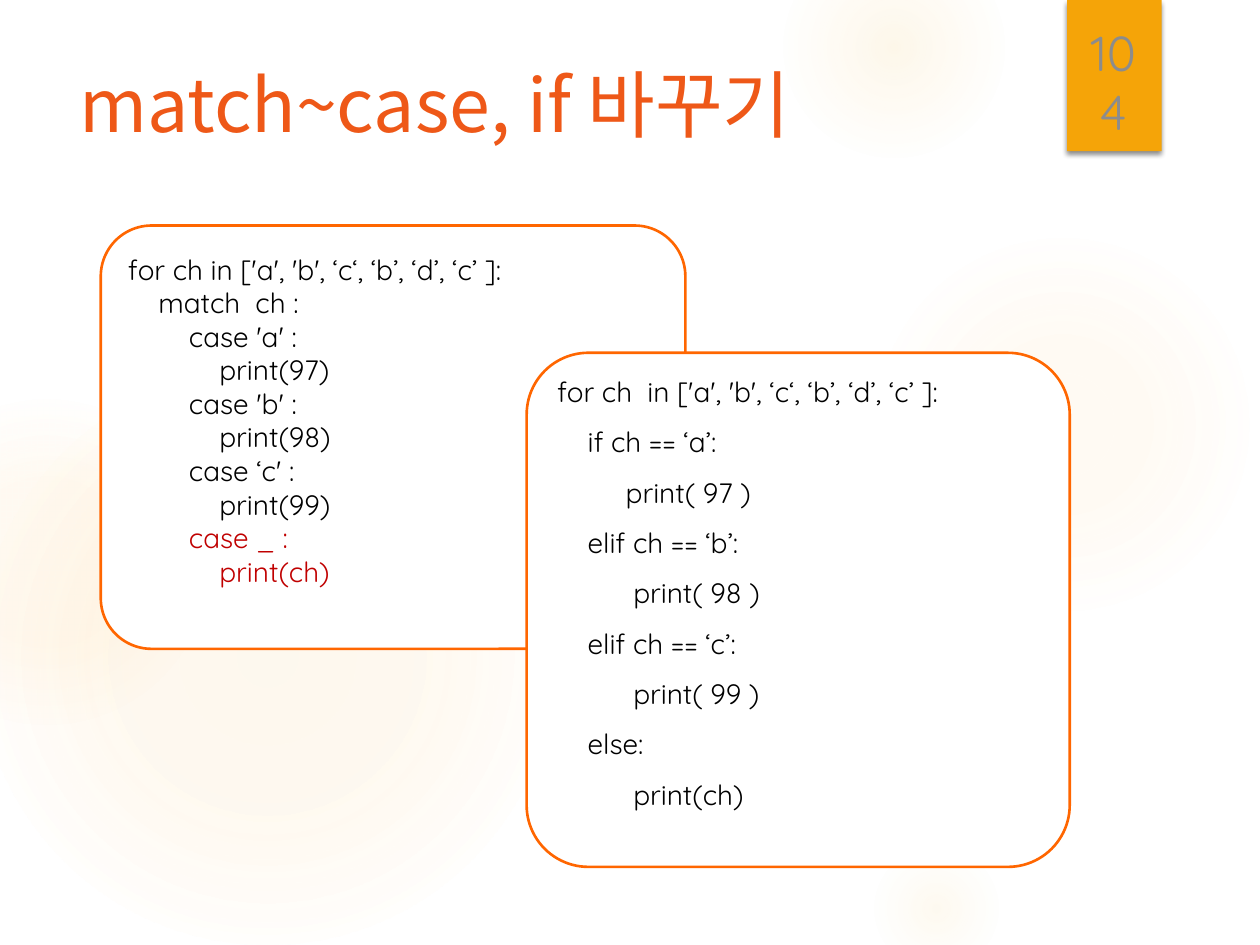
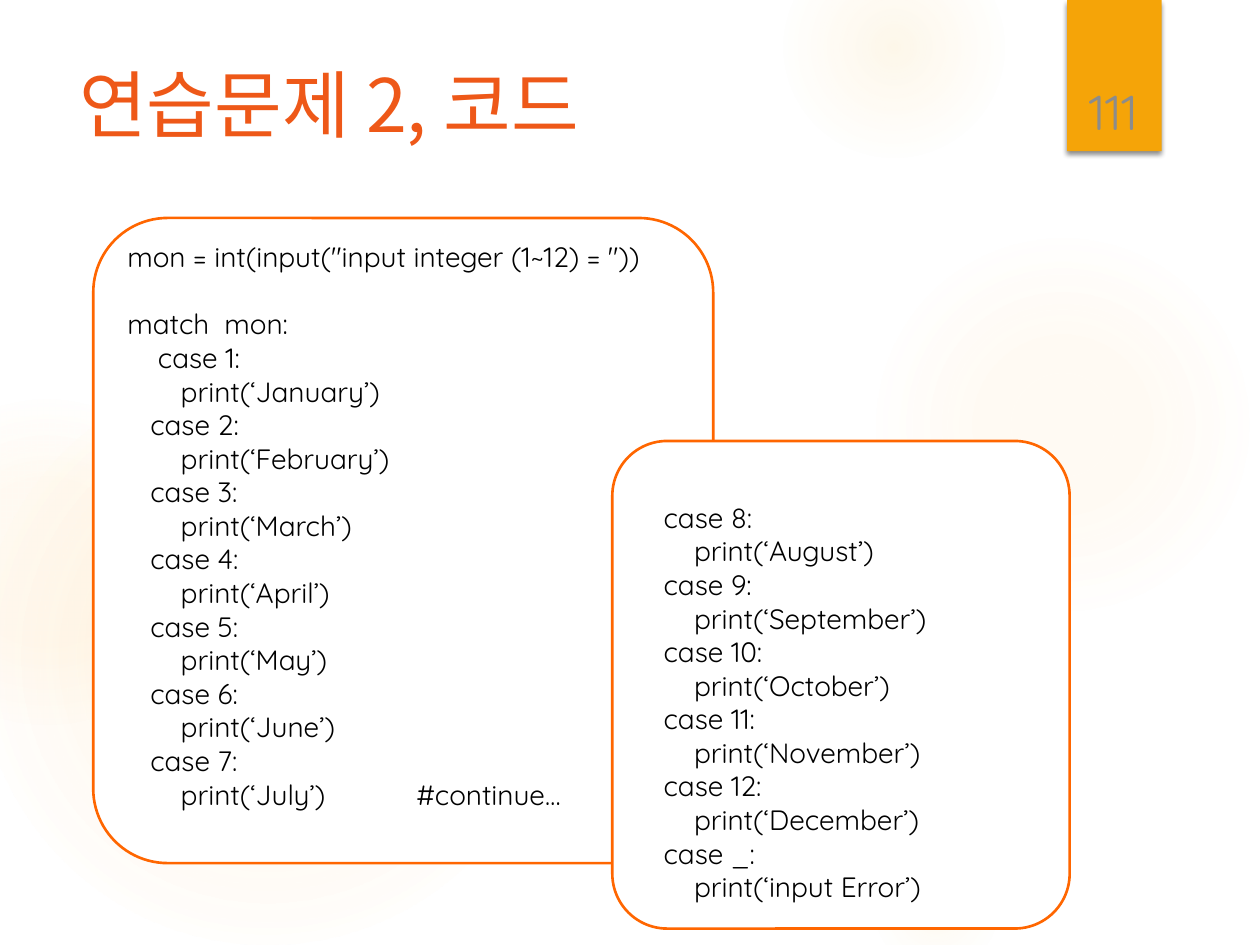
from collections import namedtuple

from lxml import etree
from pptx import Presentation
from pptx.dml.color import RGBColor
from pptx.enum.shapes import MSO_SHAPE
from pptx.enum.text import MSO_ANCHOR, PP_ALIGN
from pptx.oxml.ns import qn
from pptx.util import Inches, Pt

OVAL, RECT, ROUNDED = MSO_SHAPE.OVAL, MSO_SHAPE.RECTANGLE, MSO_SHAPE.ROUNDED_RECTANGLE
TOP, BOTTOM = MSO_ANCHOR.TOP, MSO_ANCHOR.BOTTOM
LEFT, CENTER = PP_ALIGN.LEFT, PP_ALIGN.CENTER

COLORS = {
    "paper": "FFFFFF", "glow": "FAC96A", "band": "F5A408", "title": "EE5818",
    "outline": "FF6600", "code": "000000", "accent": "C00000",
    "number": "8C8C8C", "shadow": "000000",
}
TITLE_FONT, CODE_FONT = "Noto Sans CJK KR", "Quicksand"
CODE_SIZE = 16
CODE_LINE = 19.2  # height of one code line in points

# The slide is a grid of 10 columns and 7.5 rows
WIDTH, HEIGHT = Inches(10), Inches(7.5)
COLUMN, ROW = WIDTH / 10, HEIGHT / 7.5
INSET = 0.1
CORNER = 0.12
CORNER_INSET = 0.29  # share of the corner radius kept free of text

Box = namedtuple("Box", "left top width height")

TITLE_BOX = Box(0.53, 0.5, 7.72, 1.53)
BAND_BOX = Box(8.47, 0, 0.75, 1.2)

# Each glow: left, top, diameter, then (position %, opacity %) stops
GLOWS = [
    (6.89, 1.83, 3.08, [(0, 7), (36, 6), (69, 0)]),
    (6.22, -0.5, 1.75, [(0, 14), (36, 7), (73, 0)]),
    (6.89, 6.67, 1.08, [(0, 10), (31, 5), (66, 0)]),
    (-0.17, 2.92, 4.58, [(0, 11), (36, 10), (75, 0)]),
    (-0.92, 3.17, 2.58, [(0, 8), (36, 8), (72, 0)]),
]

MATCH_CODE = """for ch in ['a', 'b', ‘c‘, ‘b’, ‘d’, ‘c’ ]:
    match  ch :
        case 'a' :
            print(97)
        case 'b' :
            print(98)
        case ‘c' :
            print(99)
        case _ :
            print(ch)""".split("\n")

IF_CODE = """for ch  in ['a', 'b', ‘c‘, ‘b’, ‘d’, ‘c’ ]:
    if ch == ‘a’:
         print( 97 )
    elif ch == ‘b’:
          print( 98 )
    elif ch == ‘c’:
          print( 99 )
    else:
          print(ch)""".split("\n")

MONTHS = ["January", "February", "March", "April", "May", "June", "July",
          "August", "September", "October", "November", "December"]


def color(name):
    return RGBColor.from_string(COLORS[name])


def place(box):
    """Turn grid units into slide lengths."""
    return (int(box.left * COLUMN), int(box.top * ROW),
            int(box.width * COLUMN), int(box.height * ROW))


def add_color(parent, name, opacity):
    tint = etree.SubElement(parent, qn("a:srgbClr"), val=COLORS[name])
    etree.SubElement(tint, qn("a:alpha"), val=str(opacity * 1000))


def add_figure(page, kind, box, fill=None, line=None):
    figure = page.shapes.add_shape(kind, *place(box))
    figure.shadow.inherit = False
    if fill:
        figure.fill.solid()
        figure.fill.fore_color.rgb = color(fill)
    else:
        figure.fill.background()
    if line:
        figure.line.color.rgb = color(line)
        figure.line.width = Pt(1.5)
    else:
        figure.line.fill.background()
    return figure


def set_frame(frame, anchor=TOP, side=INSET, top=0.05):
    frame.word_wrap = True
    frame.vertical_anchor = anchor
    frame.margin_left = frame.margin_right = Inches(side)
    frame.margin_top, frame.margin_bottom = Inches(top), Inches(0.05)


def write(para, text, *, font=CODE_FONT, size=CODE_SIZE, tint="code",
          align=LEFT, spacing=1.0, before=0):
    para.alignment = align
    para.line_spacing = spacing
    para.space_before = Pt(before)
    span = para.add_run()
    span.text = text
    span.font.name = font
    span.font.size = Pt(size)
    span.font.color.rgb = color(tint)
    etree.SubElement(span.font._element, qn("a:ea"), typeface=font)


def add_glow(page, box, stops):
    """A soft disc that fades out from its centre."""
    disc = add_figure(page, OVAL, box)
    properties = disc._element.spPr
    gradient = etree.Element(qn("a:gradFill"), rotWithShape="1")
    stop_list = etree.SubElement(gradient, qn("a:gsLst"))
    for position, opacity in stops:
        stop = etree.SubElement(stop_list, qn("a:gs"), pos=str(position * 1000))
        add_color(stop, "glow", opacity)
    circle = etree.SubElement(gradient, qn("a:path"), path="circle")
    etree.SubElement(circle, qn("a:fillToRect"), l="50000", t="50000", r="50000", b="50000")
    properties.replace(properties.find(qn("a:noFill")), gradient)


def add_band(page, box, number):
    """The coloured tab with the page number."""
    band = add_figure(page, RECT, box, fill="band")
    effects = band._element.spPr.find(qn("a:effectLst"))
    shadow = etree.SubElement(effects, qn("a:outerShdw"), blurRad=str(Pt(3)),
                              dist=str(Pt(2)), dir="5400000", rotWithShape="0")
    add_color(shadow, "shadow", 45)

    number_box = Box(box.left + 0.02, box.top + 0.32, 0.69, 0.84)
    label = page.shapes.add_textbox(*place(number_box)).text_frame
    set_frame(label, anchor=BOTTOM)
    write(label.paragraphs[0], str(number), size=28, tint="number", align=CENTER)


def add_title(page, box, text):
    frame = page.shapes.add_textbox(*place(box)).text_frame
    set_frame(frame)
    write(frame.paragraphs[0], text, font=TITLE_FONT, size=42, tint="title", spacing=0.9)


def add_code(page, box, lines, text_top, spacing=1.0, accent_from=None, gap_before=None):
    """A rounded panel whose code starts text_top rows below its top edge."""
    panel = add_figure(page, ROUNDED, box, fill="paper", line="outline")
    panel.adjustments[0] = CORNER
    corner = CORNER * min(box.width, box.height) * CORNER_INSET
    frame = panel.text_frame
    set_frame(frame, top=max(0, text_top - corner))
    for index, line in enumerate(lines):
        para = frame.add_paragraph() if index else frame.paragraphs[0]
        accented = accent_from is not None and index >= accent_from
        write(para, line, tint="accent" if accented else "code",
              spacing=spacing if index else 1.0,
              before=CODE_LINE if index == gap_before else 0)


def add_page(deck, title, number):
    """A slide with the background, band and title that all slides share."""
    page = deck.slides.add_slide(deck.slide_layouts[6])
    page.background.fill.solid()
    page.background.fill.fore_color.rgb = color("paper")
    for left, top, diameter, stops in GLOWS:
        add_glow(page, Box(left, top, diameter, diameter), stops)
    add_band(page, BAND_BOX, number)
    add_title(page, TITLE_BOX, title)
    return page


def month_cases(first, last):
    lines = []
    for month in range(first, last + 1):
        lines += [f"   case {month}:", f"       print(‘{MONTHS[month - 1]}’)"]
    return lines


def build_match_page(deck):
    page = add_page(deck, "match~case, if 바꾸기", 104)
    add_code(page, Box(0.8, 1.79, 4.64, 3.36), MATCH_CODE, 0.21, accent_from=8)
    add_code(page, Box(4.18, 2.8, 4.31, 4.08), IF_CODE, 0.17, spacing=1.5)


def build_month_page(deck):
    page = add_page(deck, "연습문제 2, 코드", 111)
    first_half = ['mon = int(input("input integer (1~12) = "))', "match  mon:"]
    first_half += month_cases(1, 7)
    first_half[2] = "    case 1:"
    first_half[-1] += "            #continue…"
    second_half = month_cases(8, 12) + ["   case _:", "       print(‘input Error’)"]
    add_code(page, Box(0.74, 1.73, 4.92, 5.12), first_half, 0.16, gap_before=1)
    add_code(page, Box(4.86, 3.5, 3.63, 3.87), second_half, 0.47)


def main():
    deck = Presentation()
    deck.slide_width, deck.slide_height = WIDTH, HEIGHT
    build_match_page(deck)
    build_month_page(deck)
    deck.save("out.pptx")


if __name__ == "__main__":
    main()
